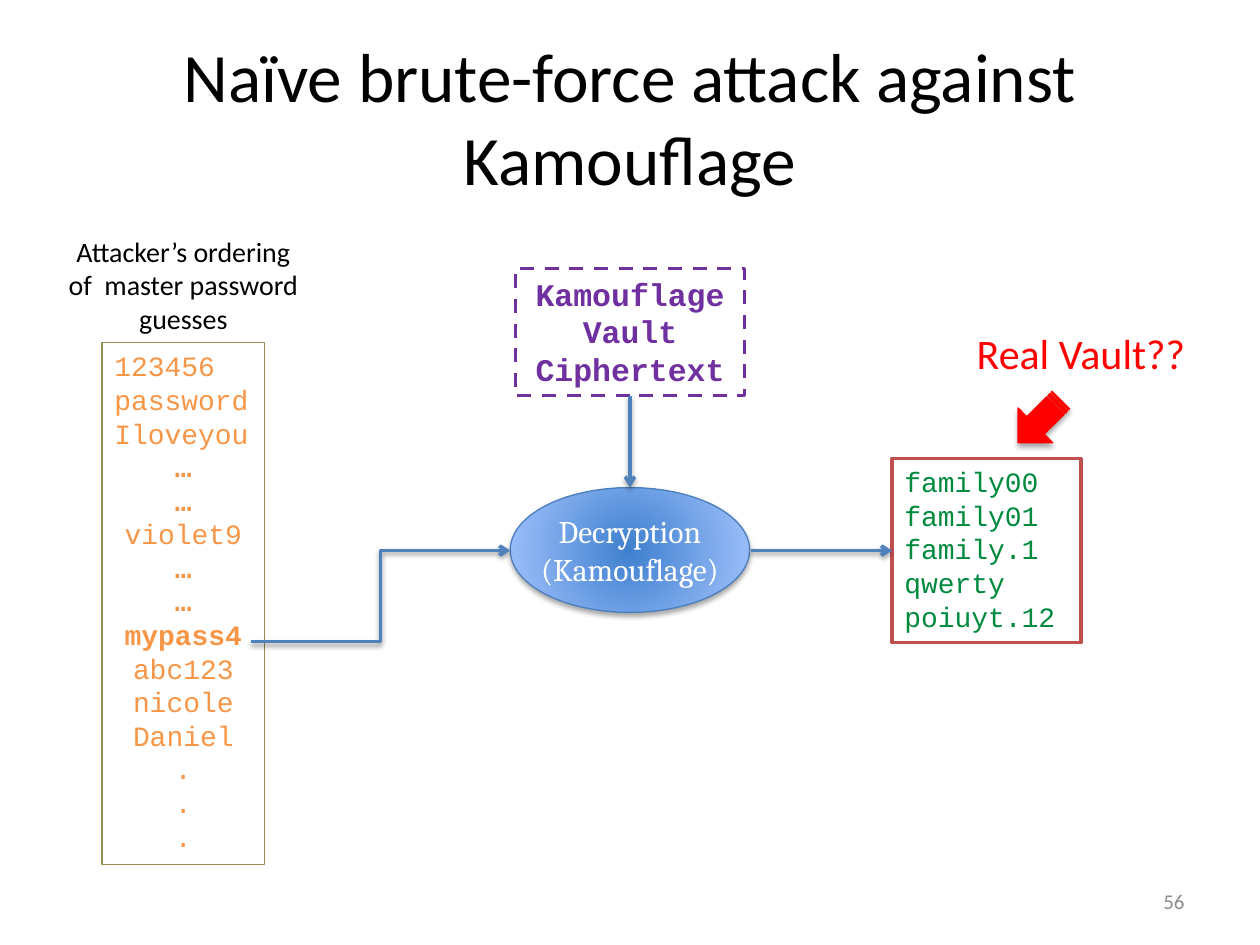
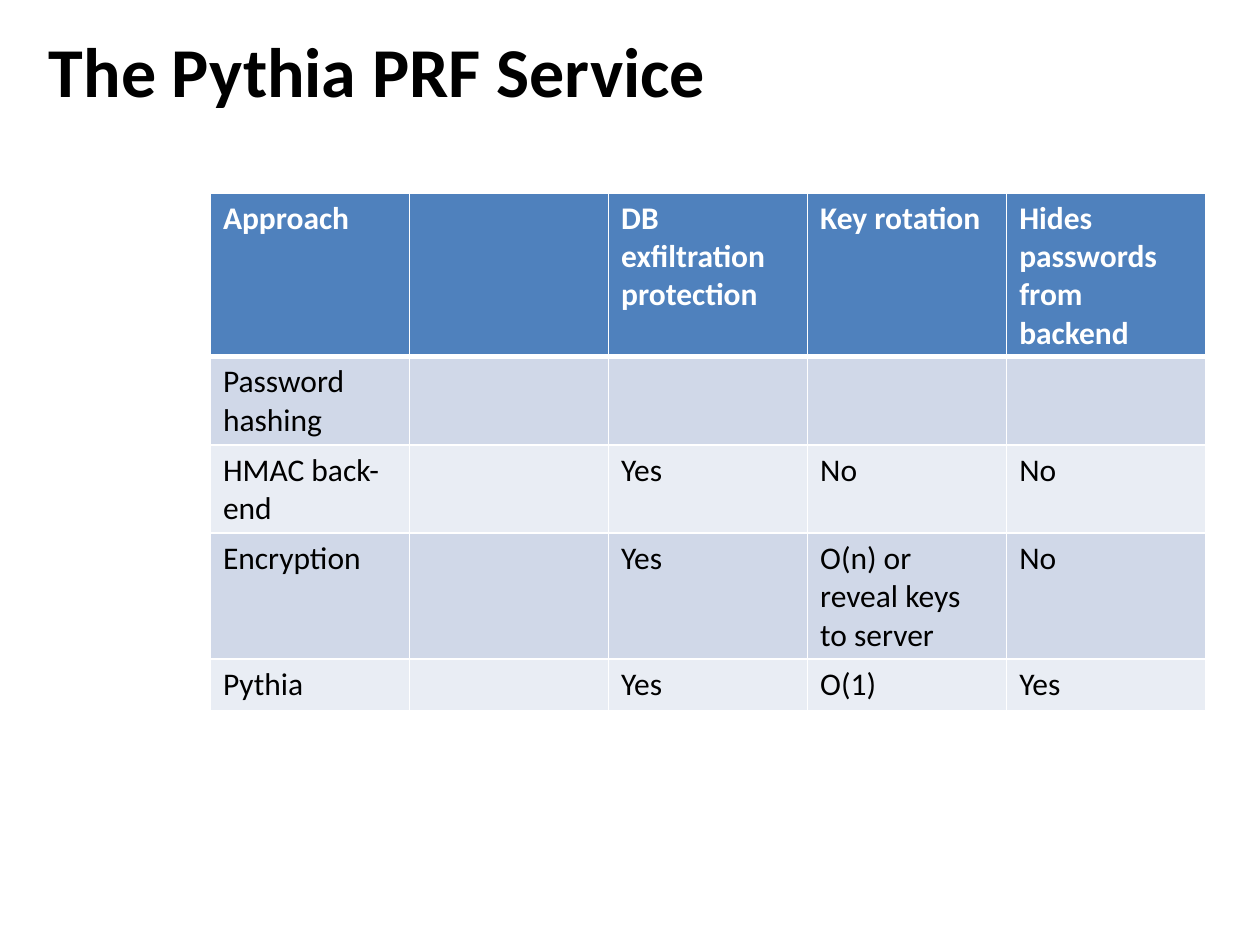
import pptx
import pptx.util
import pptx.dml.color
import pptx.enum.dml
import pptx.enum.shapes
import pptx.enum.text
import pptx.oxml
import pptx.oxml.ns

Inches, Pt = pptx.util.Inches, pptx.util.Pt
SHAPE = pptx.enum.shapes.MSO_SHAPE
LINK = pptx.enum.shapes.MSO_CONNECTOR
ALIGN = pptx.enum.text.PP_ALIGN
ANCHOR = pptx.enum.text.MSO_ANCHOR
DASH = pptx.enum.dml.MSO_LINE
qn = pptx.oxml.ns.qn

HUES = {
    "black": "000000", "white": "FFFFFF", "gray": "8C8C8C", "red": "FF0000",
    "purple": "7030A0", "olive": "948A54", "orange": "F79646",
    "green": "008A3E", "brick": "C0504D", "blue": "4F81BD",
    "rim": "4B7EBC", "core": "3F80CE", "edge": "A4C4FF",
    "odd": "D0D8E8", "even": "E9EDF4",
}
SANS, SERIF, MONO = "Calibri", "Cambria", "Courier New"

# Each text style: font name, size, colour, bold
STYLES = {
    "title": (SANS, 39.6, "black", False),
    "heading": (SANS, 40, "black", True),
    "number": (SANS, 12, "gray", False),
    "label": (SANS, 16, "black", False),
    "alert": (SANS, 24, "red", False),
    "cipher": (MONO, 18, "purple", True),
    "guess": (MONO, 16, "orange", False),
    "pick": (MONO, 16, "orange", True),
    "vault": (MONO, 16, "green", False),
    "node": (SERIF, 18, "white", False),
    "head": (SANS, 18, "white", True),
    "body": (SANS, 18, "black", False),
}

GUESSES = ["123456", "password", "Iloveyou", "…", "…", "violet9", "…", "…",
           "mypass4", "abc123", "nicole", "Daniel", ".", ".", "."]
LEFT_COUNT = 3
PICKS = ("…", "mypass4")
CIPHER = ["Kamouflage", "Vault Ciphertext"]
VAULT = ["family00", "family01", "family.1", "qwerty poiuyt.12"]
NODE = ["Decryption", "(Kamouflage)"]
LABEL = ["Attacker’s ordering", "of  master password guesses"]

# Text boxes: place, lines, style, alignment, anchor, wrap
NOTES = [
    ((0.5, 0.3, 9, 1.25), ["Naïve brute-force attack against Kamouflage"],
     "title", ALIGN.CENTER, ANCHOR.MIDDLE, True),
    ((7.17, 6.95, 2.33, 0.4), ["56"], "number", ALIGN.RIGHT, ANCHOR.MIDDLE, True),
    ((0.23, 1.81, 2.45, 0.91), LABEL, "label", ALIGN.CENTER, ANCHOR.TOP, True),
    ((7.08, 2.55, 3, 0.5), ["Real Vault??"], "alert", ALIGN.CENTER, ANCHOR.TOP, True),
]
HEADING = ((0.29, 0.17, 5.46, 0.77), ["The Pythia PRF Service"],
           "heading", ALIGN.LEFT, ANCHOR.TOP, False)

TABLE = [
    ["Approach", "", "DB exfiltration protection", "Key rotation",
     "Hides passwords from backend"],
    ["Password hashing", "", "", "", ""],
    ["HMAC back-end", "", "Yes", "No", "No"],
    ["Encryption", "", "Yes", "O(n) or reveal keys to server", "No"],
    ["Pythia", "", "Yes", "O(1)", "Yes"],
]
TABLE_AT = (1.67, 1.53)
COL = 1.58
ROWS = [1.3, 0.7, 0.7, 1.0, 0.41]

FLOW_Y = 4.37


def rgb(hue):
    return pptx.dml.color.RGBColor.from_string(HUES[hue])


def style_para(para, style):
    name, size, hue, bold = STYLES[style]
    for run in para.runs:
        for key, val in {"name": name, "size": Pt(size), "bold": bold}.items():
            setattr(run.font, key, val)
        run.font.color.rgb = rgb(hue)


def write(frame, lines, style, align=ALIGN.LEFT, anchor=ANCHOR.TOP, wrap=True):
    frame.word_wrap = wrap
    frame.vertical_anchor = anchor
    for i, line in enumerate(lines):
        para = frame.add_paragraph() if i else frame.paragraphs[0]
        para.text = line
        para.alignment = align
        style_para(para, style)


def add_note(slide, place, *text):
    box = slide.shapes.add_textbox(*map(Inches, place))
    write(box.text_frame, *text)


def add_shadow(props, alpha, dist):
    """Put a soft downward shadow on a shape's or connector's properties."""
    old = props.find(qn("a:effectLst"))
    if old is not None:
        props.remove(old)
    props.append(pptx.oxml.parse_xml(
        f'<a:effectLst {pptx.oxml.ns.nsdecls("a")}>'
        f'<a:outerShdw blurRad="{Pt(3.1)}" dist="{Pt(dist)}" dir="5400000" '
        f'rotWithShape="0"><a:srgbClr val="{HUES["black"]}">'
        f'<a:alpha val="{alpha * 1000}"/></a:srgbClr></a:outerShdw></a:effectLst>'))


def add_box(slide, kind, place, line, width, fill=None):
    box = slide.shapes.add_shape(kind, *map(Inches, place))
    box.shadow.inherit = False
    if fill:
        box.fill.solid()
        box.fill.fore_color.rgb = rgb(fill)
    else:
        box.fill.background()
    box.line.color.rgb = rgb(line)
    box.line.width = Pt(width)
    return box


def add_arrow(slide, kind, start, end):
    link = slide.shapes.add_connector(kind, *map(Inches, start + end))
    link.line.color.rgb = rgb("blue")
    link.line.width = Pt(2)
    props = link._element.spPr
    tip = pptx.oxml.parse_xml(
        f'<a:tailEnd {pptx.oxml.ns.nsdecls("a")} type="arrow"/>')
    props.find(qn("a:ln")).append(tip)
    add_shadow(props, 38, 1.6)
    return link


def add_node(slide, place):
    """Draw the decryption ellipse with a radial gradient."""
    node = add_box(slide, SHAPE.OVAL, place, "rim", 0.75)
    node.fill.gradient()
    for stop, hue in zip(node.fill.gradient_stops, ("core", "edge")):
        stop.color.rgb = rgb(hue)
    grad = node._element.spPr.find(qn("a:gradFill"))
    grad.replace(grad.find(qn("a:lin")), pptx.oxml.parse_xml(
        f'<a:path {pptx.oxml.ns.nsdecls("a")} path="circle">'
        '<a:fillToRect l="50000" t="50000" r="50000" b="50000"/></a:path>'))
    add_shadow(node._element.spPr, 35, 1.8)
    frame = node.text_frame
    for side in ("left", "top", "right", "bottom"):
        setattr(frame, "margin_" + side, 0)
    write(frame, NODE, "node", ALIGN.CENTER, ANCHOR.MIDDLE, False)


def draw_attack(slide):
    for note in NOTES:
        add_note(slide, *note)

    cipher = add_box(slide, SHAPE.RECTANGLE, (4.09, 2.13, 1.82, 1.01),
                     "purple", 2, "white")
    cipher.line.dash_style = DASH.DASH
    write(cipher.text_frame, CIPHER, "cipher", ALIGN.CENTER)

    guess = add_box(slide, SHAPE.RECTANGLE, (0.81, 2.72, 1.29, 4.14), "olive", 0.75)
    write(guess.text_frame, GUESSES, "guess", ALIGN.CENTER)
    for i, para in enumerate(guess.text_frame.paragraphs):
        if i < LEFT_COUNT:
            para.alignment = ALIGN.LEFT
        if para.text in PICKS:
            style_para(para, "pick")

    add_node(slide, (4.05, 3.87, 1.9, 0.99))
    vault = add_box(slide, SHAPE.RECTANGLE, (7.08, 3.64, 1.5, 1.46),
                    "brick", 2, "white")
    write(vault.text_frame, VAULT, "vault")

    add_arrow(slide, LINK.ELBOW, (1.99, 5.09), (4.05, FLOW_Y))
    out = add_arrow(slide, LINK.STRAIGHT, (5.96, FLOW_Y), (7.08, FLOW_Y))
    out.end_connect(vault, 1)
    down = add_arrow(slide, LINK.STRAIGHT, (5, 3.14), (5, 3.87))
    down.begin_connect(cipher, 2)

    hint = add_box(slide, SHAPE.STRIPED_RIGHT_ARROW, (8.01, 3.15, 0.48, 0.39),
                   "red", 0.75, "red")
    hint.rotation = 135.1
    add_shadow(hint._element.spPr, 35, 1.8)


def add_borders(cell, top):
    props = cell._tc.get_or_add_tcPr()
    for side in "LRTB":
        thick = 3 if (top and side == "B") else 1
        props.append(pptx.oxml.parse_xml(
            f'<a:ln{side} {pptx.oxml.ns.nsdecls("a")} w="{Pt(thick)}"><a:solidFill>'
            f'<a:srgbClr val="{HUES["white"]}"/></a:solidFill></a:ln{side}>'))


def draw_service(slide):
    add_note(slide, *HEADING)
    size = (COL * len(TABLE[0]), sum(ROWS))
    grid = slide.shapes.add_table(len(TABLE), len(TABLE[0]),
                                  *map(Inches, TABLE_AT + size)).table
    for col in grid.columns:
        col.width = Inches(COL)
    for r, texts in enumerate(TABLE):
        grid.rows[r].height = Inches(ROWS[r])
        fill = "blue" if r == 0 else ("odd" if r % 2 else "even")
        for c, text in enumerate(texts):
            cell = grid.cell(r, c)
            add_borders(cell, r == 0)
            cell.fill.solid()
            cell.fill.fore_color.rgb = rgb(fill)
            if text:
                cell.text = text
                style_para(cell.text_frame.paragraphs[0], "body" if r else "head")


def main():
    deck = pptx.Presentation()
    deck.slide_width, deck.slide_height = Inches(10), Inches(7.5)
    for draw in (draw_attack, draw_service):
        draw(deck.slides.add_slide(deck.slide_layouts[6]))
    deck.save("out.pptx")


if __name__ == "__main__":
    main()
